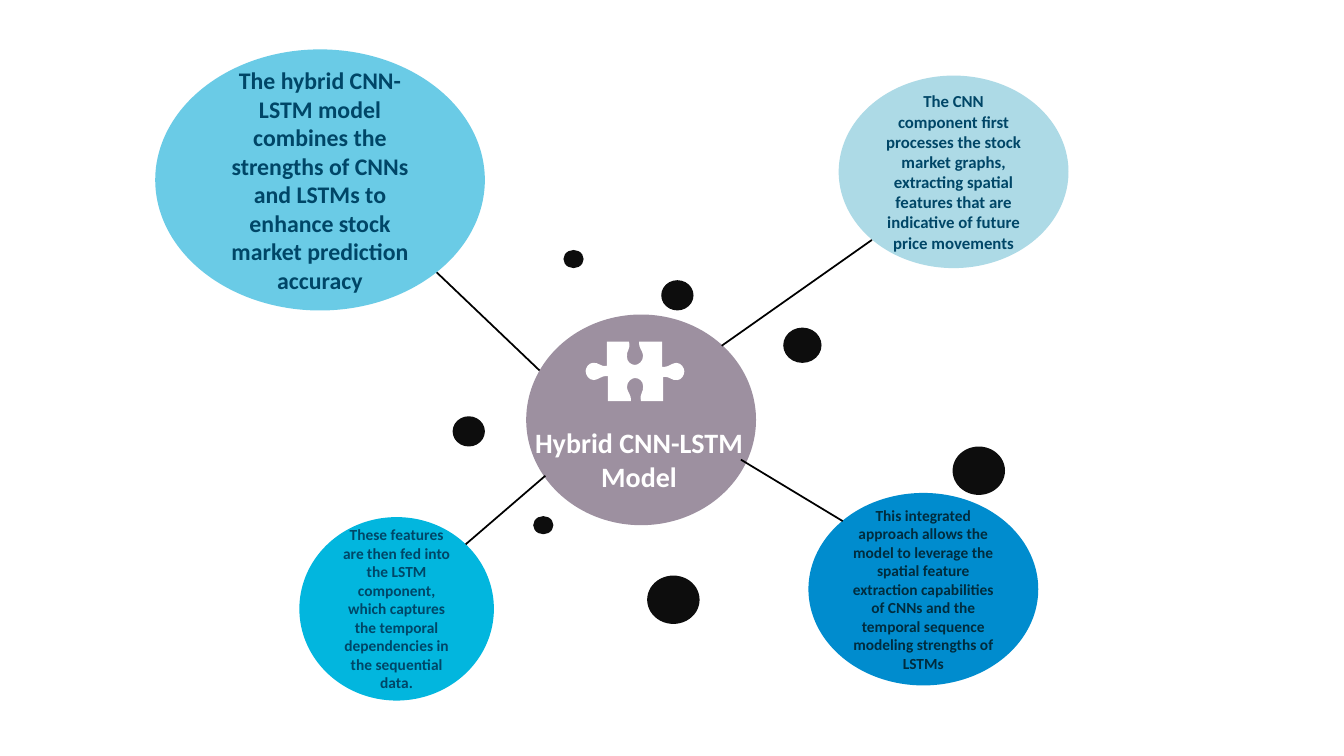
from pptx import Presentation
from pptx.dml.color import RGBColor
from pptx.enum.shapes import MSO_CONNECTOR as Link, MSO_SHAPE as Shape
from pptx.enum.text import MSO_ANCHOR as Anchor, MSO_AUTO_SIZE as Fit, PP_ALIGN as Align
from pptx.oxml.ns import qn
from pptx.util import Inches, Pt
from lxml.etree import SubElement

UNIT = Inches(0.1)  # one column or row of the grid
COLS, ROWS = 133.33, 75

BLACK = RGBColor(0x00, 0x00, 0x00)
WHITE = RGBColor(0xFF, 0xFF, 0xFF)
INK = RGBColor(0x0D, 0x0D, 0x0D)
MAUVE = RGBColor(0x9D, 0x90, 0xA0)
PALE = RGBColor(0xAD, 0xDA, 0xE6)
SKY = RGBColor(0x6A, 0xCB, 0xE6)
CYAN = RGBColor(0x02, 0xB6, 0xDE)
BLUE = RGBColor(0x00, 0x8C, 0xCE)
NAVY = RGBColor(0x00, 0x46, 0x67)
DEEP = RGBColor(0x00, 0x2C, 0x3E)

HUB = (52.2, 31.2, 22.8, 20.9)
TITLE = (51.6, 41.7, 23.6, 7.7)

# box on the grid, fill, text size, text colour, text
IDEAS = [
    ((83.2, 7.5, 22.8, 19.1), PALE, 12, NAVY,
     "The CNN component first processes the stock market graphs, extracting "
     "spatial features that are indicative of future price movements"),
    ((80.2, 48.9, 22.8, 19.1), BLUE, 11, DEEP,
     "This integrated approach allows the model to leverage the spatial feature "
     "extraction capabilities of CNNs and the temporal sequence modeling "
     "strengths of LSTMs"),
    ((15.4, 4.9, 32.7, 25.9), SKY, 17, NAVY,
     "The hybrid CNN-LSTM model combines the strengths of CNNs and LSTMs to "
     "enhance stock market prediction accuracy"),
    ((29.7, 51.3, 19.3, 18.2), CYAN, 11, NAVY,
     "These features are then fed into the LSTM component, which captures the "
     "temporal dependencies in the sequential data."),
]

BACK = (43.3, 27, 54.1, 37.3)  # the spoke that runs behind the hub
SPOKES = [
    (46.2, 54, 54.1, 47.2),
    (71.6, 34.3, 86.5, 23.8),
    (73.5, 45.6, 83.6, 51.7),
]

# dot size: left and top of each dot
DOTS = {
    (5.2, 4.8): [(64.2, 57.1), (94.5, 44.3)],
    (3.8, 3.5): [(77.7, 32.5)],
    (3.2, 3): [(44.9, 41.3), (65.6, 27.8)],
    (2, 1.8): [(55.9, 24.8), (52.9, 51.2)],
}

# Half of the puzzle piece: one point is a line, three are a curve
START = (67.9, 36.8)
HALF = [
    [(67.9, 37.2), (67.6, 37.7), (67.2, 37.7)],
    [(66.6, 37.8), (66.5, 37.3), (65.8, 37.4)],
    [(65.8, 39.8)],
    [(63.6, 39.8)],
    [(63.4, 39), (63.9, 38.9), (63.8, 38.3)],
    [(63.8, 37.8), (63.4, 37.5), (63, 37.5)],
    [(62.7, 37.5), (62.2, 37.8), (62.2, 38.4)],
    [(62.3, 39.1), (62.6, 39), (62.6, 39.8)],
    [(60.3, 39.8)],
    [(60.3, 37.3)],
    [(59.5, 37.3), (59.6, 37.6), (58.9, 37.7)],
    [(58.4, 37.7), (58.1, 37.2), (58.1, 36.8)],
]
SPAN = (126, 73.7)  # twice the centre of the puzzle piece


def grid(*vals):
    return [round(val * UNIT) for val in vals]


def style(item, form):
    for key, val in form.items():
        setattr(item, key, val)


def paint(shape, fill):
    shape.shadow.inherit = False
    shape.fill.solid()
    shape.fill.fore_color.rgb = fill
    shape.line.fill.background()


def write(shape, text, size, color, frame):
    body = shape.text_frame
    style(body, {"word_wrap": True, **frame})
    para = body.paragraphs[0]
    para.alignment = Align.CENTER
    run = para.add_run()
    run.text = text
    style(run.font, {"name": "Calibri", "size": Pt(size), "bold": True})
    run.font.color.rgb = color


def add_oval(slide, box, fill):
    oval = slide.shapes.add_shape(Shape.OVAL, *grid(*box))
    paint(oval, fill)
    return oval


def add_spoke(slide, ends):
    spoke = slide.shapes.add_connector(Link.STRAIGHT, *grid(*ends))
    spoke.line.width = Pt(1.25)
    spoke.line.color.rgb = BLACK
    SubElement(spoke.element.spPr, qn("a:effectLst"))


def bend(shape, parts):
    """Join each three line steps that stand for a curve into one curve."""
    steps = iter(list(shape.element.iter(qn("a:lnTo"))))
    for part in parts:
        group = [next(steps) for _ in part]
        if len(group) == 1:
            continue
        track = group[0].getparent()
        curve = SubElement(track, qn("a:cubicBezTo"))
        group[0].addprevious(curve)
        for step in group:
            curve.append(step[0])
            track.remove(step)


def add_puzzle(slide):
    """Draw half of the outline, then the same half turned around."""
    turned = [[(SPAN[0] - x, SPAN[1] - y) for x, y in part] for part in HALF]
    parts = HALF + turned
    pen = slide.shapes.build_freeform(*grid(*START))
    pen.add_line_segments([grid(*point) for part in parts for point in part])
    piece = pen.convert_to_shape()
    bend(piece, parts)
    paint(piece, WHITE)


def add_title(slide):
    title = slide.shapes.title
    left, top, width, height = grid(*TITLE)
    style(title, {"left": left, "top": top, "width": width, "height": height})
    write(title, "Hybrid CNN-LSTM Model", 20, WHITE,
          {"vertical_anchor": Anchor.TOP, "auto_size": Fit.SHAPE_TO_FIT_TEXT})
    slide.shapes.element.append(title.element)  # bring in front of the hub


def main():
    deck = Presentation()
    width, height = grid(COLS, ROWS)
    style(deck, {"slide_width": width, "slide_height": height})
    slide = deck.slides.add_slide(deck.slide_layouts.get_by_name("Title Only"))

    add_spoke(slide, BACK)
    add_oval(slide, HUB, MAUVE)
    for box, fill, size, color, text in IDEAS:
        write(add_oval(slide, box, fill), text, size, color,
              {"vertical_anchor": Anchor.MIDDLE})
    for ends in SPOKES:
        add_spoke(slide, ends)
    for size, spots in DOTS.items():
        for spot in spots:
            add_oval(slide, spot + size, INK)
    add_title(slide)
    add_puzzle(slide)
    deck.save("out.pptx")


if __name__ == "__main__":
    main()
